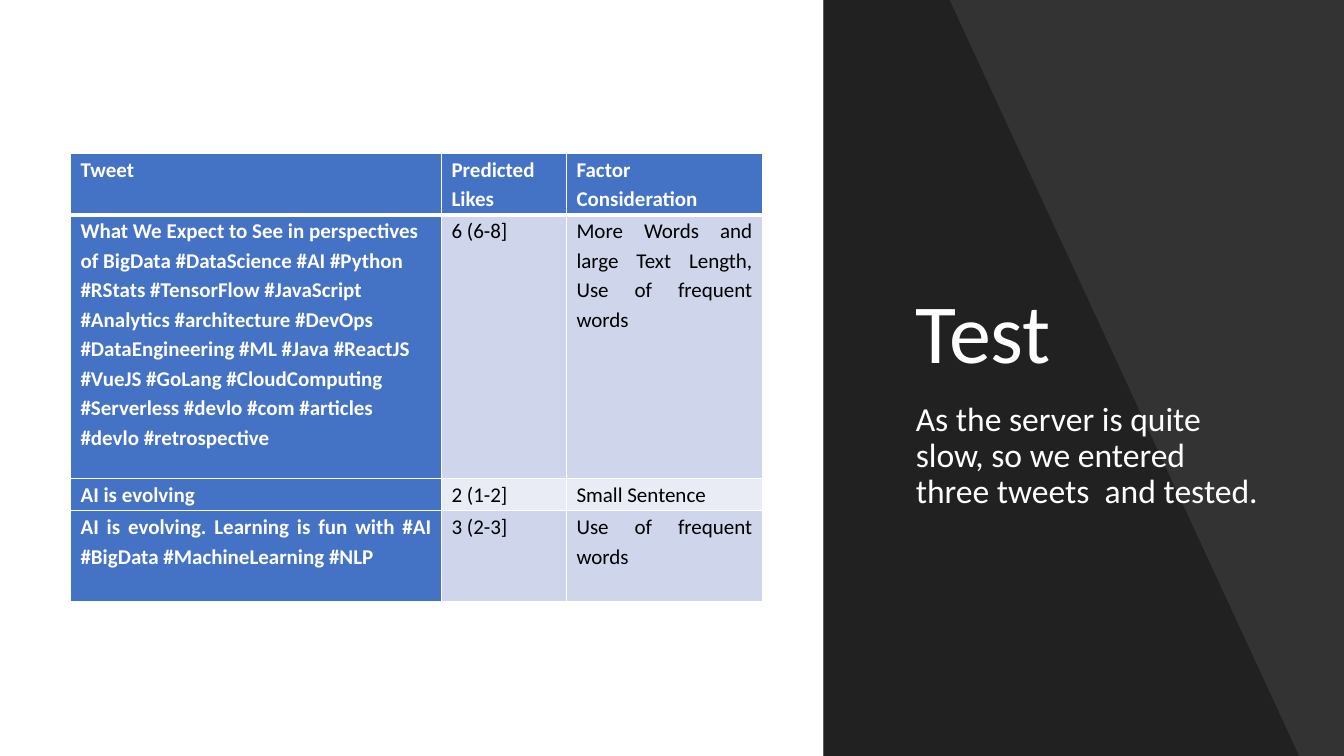
"""Build the test slide: a table of tweets beside a dark title panel."""
from lxml import etree
from pptx import Presentation
from pptx.dml.color import RGBColor
from pptx.enum.shapes import MSO_SHAPE
from pptx.enum.text import MSO_ANCHOR, PP_ALIGN
from pptx.oxml.ns import qn
from pptx.util import Cm, Pt

RECT = MSO_SHAPE.RECTANGLE
TOP, BOTTOM = MSO_ANCHOR.TOP, MSO_ANCHOR.BOTTOM
LEFT, JUST = PP_ALIGN.LEFT, PP_ALIGN.JUSTIFY
WHITE = RGBColor(0xFF, 0xFF, 0xFF)
BLACK = RGBColor(0, 0, 0)
BLUE = RGBColor(0x44, 0x72, 0xC4)
DARK = RGBColor(0xCF, 0xD5, 0xEA)
PALE = RGBColor(0xE9, 0xEB, 0xF5)
FONT = "Calibri"

ROWS = [
    ("Tweet", "Predicted Likes", "Factor Consideration"),
    ("What We Expect to See in perspectives of BigData #DataScience #AI "
     "#Python #RStats #TensorFlow #JavaScript #Analytics #architecture "
     "#DevOps #DataEngineering #ML #Java #ReactJS #VueJS #GoLang "
     "#CloudComputing #Serverless #devlo #com #articles #devlo "
     "#retrospective",
     "6 (6-8]", "More Words and large Text Length, Use of frequent words"),
    ("AI is evolving", "2 (1-2]", "Small Sentence"),
    ("AI is evolving. Learning is fun with #AI #BigData #MachineLearning #NLP",
     "3 (2-3]", "Use of frequent words"),
]
WIDTHS = (9.35, 3.15, 4.93)
HEIGHTS = (1.55, 6.65, 0.81, 2.29)
TEXTS = [
    ("Test", 60, 3.12, 6.63, BOTTOM, 0),
    ("As the server is quite slow, so we entered three tweets  and tested.",
     24, 10.01, 4.6, TOP, 10),
]
WIDE, HIGH = 33.87, 19.05
EDGE = 20.75
SLANT = [(23.93, 0), (32.74, HIGH), (EDGE, HIGH)]


def shade(shape, alpha):
    """Fill a shape with see-through black."""
    shape.shadow.inherit = False
    shape.line.fill.background()
    shape.fill.solid()
    shape.fill.fore_color.rgb = BLACK
    tint = shape.fill._xPr.find(".//" + qn("a:srgbClr"))
    etree.SubElement(tint, qn("a:alpha"), val=str(alpha * 1000))


def style(para, size, color, bold=False):
    """Set the font of each run in a paragraph."""
    for run in para.runs:
        font = run.font
        font.name, font.size, font.bold = FONT, Pt(size), bold
        font.color.rgb = color


def border(cell, top, base):
    """Draw white lines around a cell."""
    props = cell._tc.get_or_add_tcPr()
    for side, width in (("L", 1), ("R", 1), ("T", top), ("B", base)):
        line = etree.SubElement(props, qn("a:ln" + side), w=str(Pt(width)))
        fill = etree.SubElement(line, qn("a:solidFill"))
        etree.SubElement(fill, qn("a:srgbClr"), val=str(WHITE))


def add_panel(slide):
    """Add the dark panel with its slanted part."""
    panel = slide.shapes.add_shape(RECT, Cm(EDGE), 0, Cm(WIDE - EDGE), Cm(HIGH))
    shade(panel, 80)
    pen = slide.shapes.build_freeform(Cm(EDGE), 0)
    pen.add_line_segments([(Cm(x), Cm(y)) for x, y in SLANT], close=True)
    shade(pen.convert_to_shape(), 35)


def add_text(slide, text, size, top, high, anchor, space):
    """Add one text box on the panel."""
    box = slide.shapes.add_textbox(Cm(22.83), Cm(top), Cm(9.2), Cm(high))
    frame = box.text_frame
    frame.word_wrap = True
    frame.vertical_anchor = anchor
    frame.text = text
    para = frame.paragraphs[0]
    para.line_spacing = 0.9
    para.space_before = Pt(space)
    style(para, size, WHITE)


def add_grid(slide):
    """Add the table of tweets."""
    grid = slide.shapes.add_table(
        len(ROWS), len(WIDTHS), Cm(1.78), Cm(3.86),
        Cm(sum(WIDTHS)), Cm(sum(HEIGHTS))).table
    for col, width in zip(grid.columns, WIDTHS):
        col.width = Cm(width)
    for row, high in zip(grid.rows, HEIGHTS):
        row.height = Cm(high)
    for r, row in enumerate(ROWS):
        for c, text in enumerate(row):
            cell = grid.cell(r, c)
            head = r == 0 or c == 0
            cell.margin_left = cell.margin_right = Cm(0.25)
            cell.margin_top = cell.margin_bottom = 0
            border(cell, 3 if r == 1 else 1, 3 if r == 0 else 1)
            cell.fill.solid()
            cell.fill.fore_color.rgb = BLUE if head else DARK if r % 2 else PALE
            cell.text_frame.text = text
            para = cell.text_frame.paragraphs[0]
            para.alignment = LEFT if (r, c) == (1, 0) else JUST
            para.line_spacing = 1.15
            style(para, 15, WHITE if head else BLACK, head)


def main():
    """Build and save the slide."""
    deck = Presentation()
    deck.slide_width, deck.slide_height = Cm(WIDE), Cm(HIGH)
    slide = deck.slides.add_slide(deck.slide_layouts[6])
    add_panel(slide)
    for item in TEXTS:
        add_text(slide, *item)
    add_grid(slide)
    deck.save("out.pptx")


if __name__ == "__main__":
    main()
